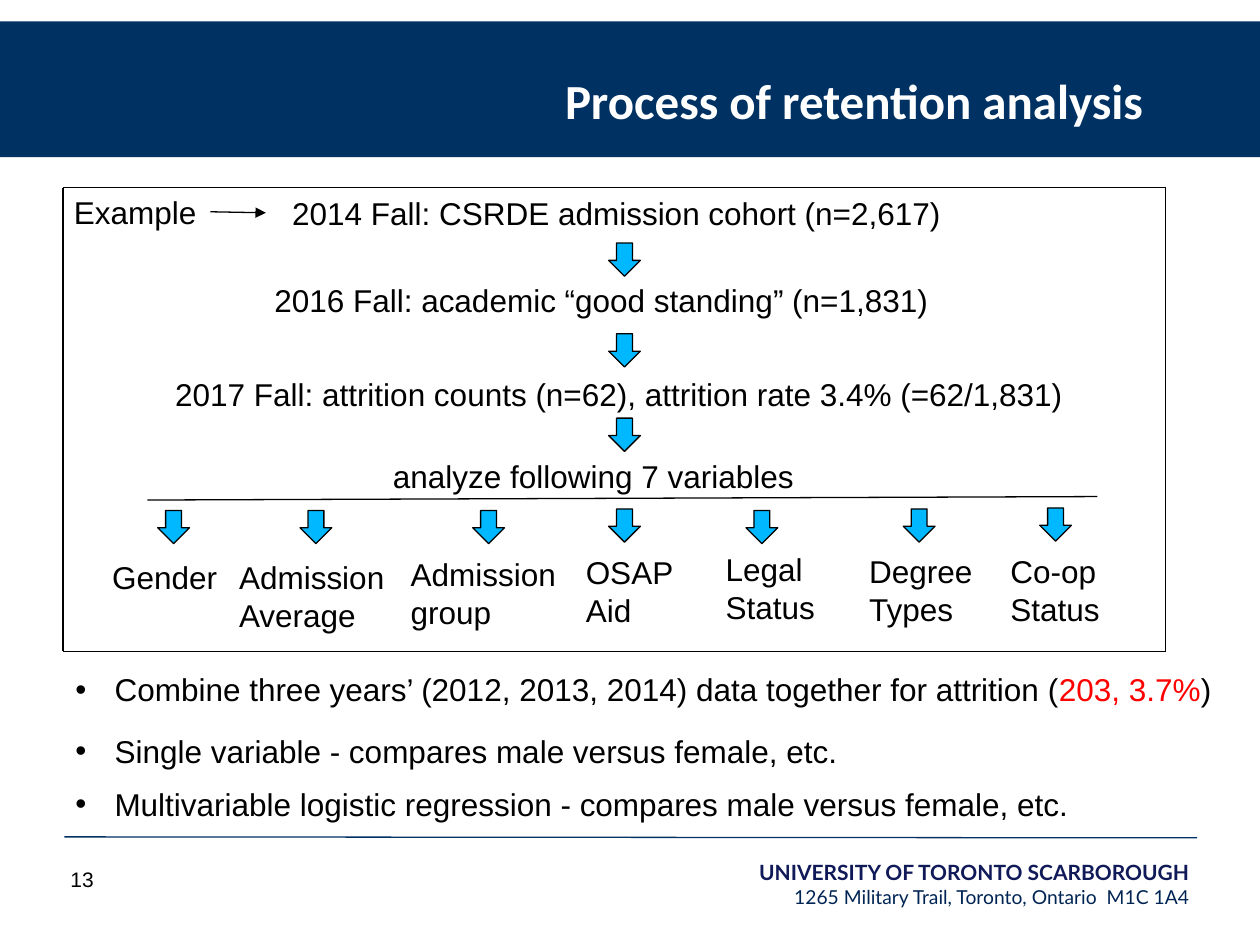
from dataclasses import dataclass

from lxml.etree import SubElement
from pptx import Presentation
from pptx.dml.color import RGBColor
from pptx.enum.shapes import MSO_CONNECTOR, MSO_SHAPE
from pptx.enum.text import MSO_ANCHOR, PP_ALIGN
from pptx.oxml.ns import qn
from pptx.util import Cm, Pt


@dataclass(frozen=True)
class Theme:
    navy: str = "003163"
    name: str = "111A58"
    address: str = "002554"
    arrow: str = "00B8FF"
    accent: str = "FF0000"
    black: str = "000000"
    white: str = "FFFFFF"
    body_font: str = "Arial"
    title_font: str = "Calibri"
    footer_font: str = "Lato"
    title_size: int = 28
    body_size: int = 18
    small_size: int = 12
    address_size: int = 11
    line: float = 0.75


T = Theme()

STEPS = [
    ("Example", 1.24, 3.76, 2.97),
    ("2014 Fall: CSRDE admission cohort (n=2,617)", 5.64, 3.78, 13.77),
    ("2016 Fall: academic “good standing” (n=1,831)", 5.28, 5.54, 13.69),
    ("2017 Fall: attrition counts (n=62), attrition rate 3.4% (=62/1,831)", 3.28, 7.44, 18.75),
    ("analyze following 7 variables", 7.67, 9.09, 8.59),
]
STEP_ARROWS = [4.9, 6.73, 8.43]
CENTER_ARROW_X = 12.27

VARIABLES = [
    ("Gender", 2.01, 11.13, 3.0, 3.18, 10.29),
    ("Admission Average", 4.57, 11.13, 3.45, 6.05, 10.29),
    ("Admission group", 8.03, 11.07, 3.61, 9.53, 10.29),
    ("OSAP Aid", 11.56, 11.02, 2.62, CENTER_ARROW_X, 10.26),
    ("Legal Status", 14.38, 10.97, 2.57, 15.04, 10.29),
    ("Degree Types", 17.27, 11.0, 2.62, 18.21, 10.26),
    ("Co-op Status", 20.12, 11.0, 2.62, 20.96, 10.24),
]

BULLETS = [
    (13.39, ["Combine three years’ (2012, 2013, 2014) data together for attrition (",
             "203, 3.7%", ")"]),
    (14.63, ["Single variable - compares male versus female, etc."]),
    (15.7, ["Multivariable logistic regression - compares male versus female, etc."]),
]


def style(r, size=T.body_size, color=T.black, font=T.body_font, bold=False):
    r.font.size = Pt(size)
    r.font.name = font
    r.font.bold = bold
    r.font.color.rgb = RGBColor.from_string(color)


def add_text(s, text, x, y, w, h=1.02, wrap=True, **look):
    tf = s.shapes.add_textbox(Cm(x), Cm(y), Cm(w), Cm(h)).text_frame
    tf.word_wrap = wrap
    tf.text = text
    for r in tf.paragraphs[0].runs:
        style(r, **look)
    return tf


def add_block(s, shape, x, y, w, h, fill, line=None):
    sp = s.shapes.add_shape(shape, Cm(x), Cm(y), Cm(w), Cm(h))
    sp.shadow.inherit = False
    sp.fill.solid()
    sp.fill.fore_color.rgb = RGBColor.from_string(fill)
    if line:
        sp.line.color.rgb = RGBColor.from_string(line)
        sp.line.width = Pt(T.line)
    else:
        sp.line.fill.background()


def add_down_arrow(s, x, y):
    add_block(s, MSO_SHAPE.DOWN_ARROW, x, y, 0.64, 0.67, T.arrow, T.black)


def add_line(s, x1, y1, x2, y2, color=T.black, arrow=False):
    c = s.shapes.add_connector(MSO_CONNECTOR.STRAIGHT, Cm(x1), Cm(y1), Cm(x2), Cm(y2))
    c.line.color.rgb = RGBColor.from_string(color)
    c.line.width = Pt(T.line)
    if arrow:
        SubElement(c.line._get_or_add_ln(), qn("a:tailEnd"), type="triangle")
    SubElement(c._element.spPr, qn("a:effectLst"))


def add_frame(s, left, top, right, bottom):
    for y in (top, bottom):
        add_line(s, left, y, right, y)
    for x in (left, right):
        add_line(s, x, top, x, bottom)


def add_bullet(s, y, parts):
    tf = add_text(s, "", 1.27, y, 23.93)
    p = tf.paragraphs[0]
    pPr = p._p.get_or_add_pPr()
    pPr.set("marL", str(Cm(0.79)))
    pPr.set("indent", str(-Cm(0.79)))
    SubElement(SubElement(pPr, qn("a:buClr")), qn("a:srgbClr"), val=T.black)
    SubElement(pPr, qn("a:buFont"), typeface=T.body_font)
    SubElement(pPr, qn("a:buChar"), char="•")
    for i, part in enumerate(parts):
        r = p.add_run()
        r.text = part
        style(r, color=T.accent if i == 1 else T.black)


def add_header(s):
    add_block(s, MSO_SHAPE.RECTANGLE, 0, 0.43, 25.4, 2.74, T.navy)
    tf = add_text(s, "Process of retention analysis", 8.89, 0.43, 14.4, 3.18,
                  size=T.title_size, color=T.white, font=T.title_font, bold=True)
    tf.vertical_anchor = MSO_ANCHOR.MIDDLE
    tf.paragraphs[0].alignment = PP_ALIGN.RIGHT


def add_footer(s):
    add_line(s, 1.3, 16.87, 24.13, 16.89, T.navy)
    add_text(s, "13", 1.17, 17.35, 0.97, 0.76, wrap=False, size=T.small_size)
    tf = add_text(s, "UNIVERSITY OF TORONTO SCARBOROUGH\v"
                  "1265 Military Trail, Toronto, Ontario \u00a0M1C 1A4".replace("\u00a0", " "),
                  5.51, 17.12, 18.47, 1.3,
                  size=T.address_size, color=T.address, font=T.footer_font)
    tf.margin_left, tf.margin_top = Cm(2.03), Cm(0.2)
    tf.margin_right, tf.margin_bottom = Cm(0), Cm(0.1)
    tf.vertical_anchor = MSO_ANCHOR.MIDDLE
    p = tf.paragraphs[0]
    p.alignment = PP_ALIGN.RIGHT
    style(p.runs[0], T.small_size, T.name, T.footer_font, True)


def add_process(s):
    add_frame(s, 1.27, 3.78, 23.5, 13.13)
    for text, x, y, w in STEPS:
        add_text(s, text, x, y, w, wrap=False)
    add_line(s, 4.24, 4.27, 5.36, 4.29, arrow=True)
    for y in STEP_ARROWS:
        add_down_arrow(s, CENTER_ARROW_X, y)
    add_line(s, 2.97, 10.08, 22.12, 10.01)
    for text, x, y, w, arrow_x, arrow_y in VARIABLES:
        add_down_arrow(s, arrow_x, arrow_y)
        add_text(s, text, x, y, w, 1.78 if " " in text else 1.02)


def main():
    prs = Presentation()
    prs.slide_width, prs.slide_height = Cm(25.4), Cm(19.05)
    s = prs.slides.add_slide(prs.slide_layouts[6])
    add_header(s)
    add_process(s)
    for y, parts in BULLETS:
        add_bullet(s, y, parts)
    add_footer(s)
    prs.save("out.pptx")


if __name__ == "__main__":
    main()
